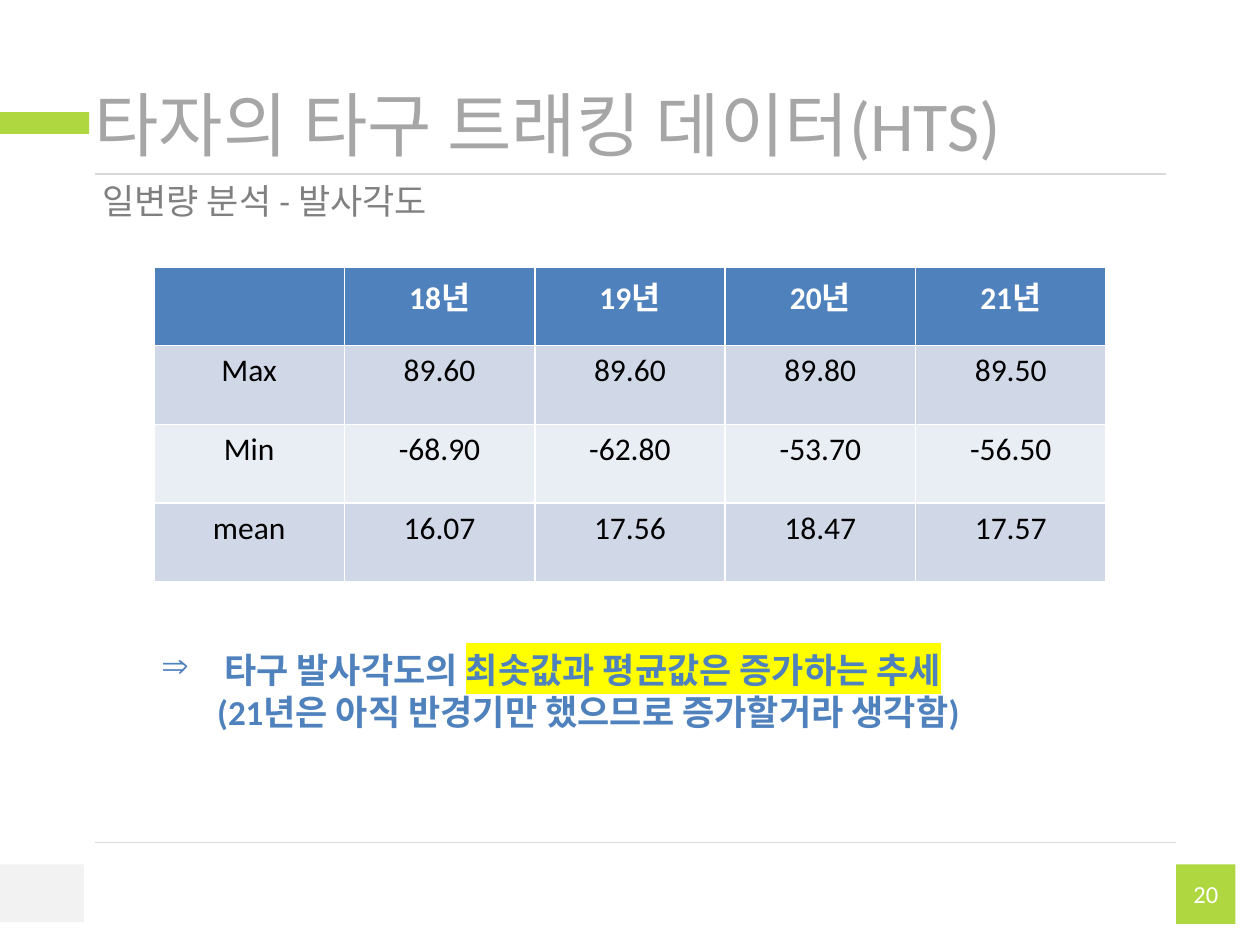
from dataclasses import dataclass

from lxml.etree import SubElement
from pptx import Presentation
from pptx.dml.color import RGBColor as RGB
from pptx.enum.shapes import MSO_CONNECTOR as CONNECTOR, MSO_SHAPE as SHAPE
from pptx.enum.text import MSO_ANCHOR as ANCHOR, MSO_AUTO_SIZE as FIT, PP_ALIGN as ALIGN
from pptx.oxml import parse_xml
from pptx.oxml.ns import nsdecls, qn
from pptx.util import Pt


@dataclass(frozen=True)
class Theme:
    font: str = "Calibri"
    green: str = "AFD740"
    pale: str = "F2F2F2"
    rule: str = "D9D9D9"
    title: str = "A6A6A6"
    subtitle: str = "808080"
    blue: str = "4F81BD"
    bands: tuple = ("D0D8E8", "E9EDF4")
    white: str = "FFFFFF"
    black: str = "000000"
    marker: str = "FFFF00"
    title_size: int = 40
    body_size: int = 20
    table_size: int = 18
    number_size: int = 14


THEME = Theme()

ROWS = [
    ["", "18년", "19년", "20년", "21년"],
    ["Max", "89.60", "89.60", "89.80", "89.50"],
    ["Min", "-68.90", "-62.80", "-53.70", "-56.50"],
    ["mean", "16.07", "17.56", "18.47", "17.57"],
]


def style(p, size, color, bold=False, align=ALIGN.LEFT):
    p.alignment = align
    f = p.font
    f.name, f.size, f.bold = THEME.font, Pt(size), bold
    f.color.rgb = RGB.from_string(color)


def set_bullet(p, char=None, left=0, hanging=0):
    pPr = p._p.get_or_add_pPr()
    pPr.set("marL", str(Pt(left)))
    pPr.set("indent", str(Pt(-hanging)))
    tag = f'buChar {nsdecls("a")} char="{char}"' if char else f'buNone {nsdecls("a")}'
    pPr.insert(0, parse_xml(f"<a:{tag}/>"))


def highlight(r, color):
    mark = SubElement(r._r.get_or_add_rPr(), qn("a:highlight"))
    SubElement(mark, qn("a:srgbClr"), val=color)


def add_block(s, box, color):
    sp = s.shapes.add_shape(SHAPE.RECTANGLE, *map(Pt, box))
    sp.shadow.inherit = False
    sp.fill.solid()
    sp.fill.fore_color.rgb = RGB.from_string(color)
    sp.line.fill.background()


def add_rule(s, left, right, y):
    line = s.shapes.add_connector(CONNECTOR.STRAIGHT, Pt(left), Pt(y), Pt(right), Pt(y))
    line.line.color.rgb = RGB.from_string(THEME.rule)
    line.line.width = Pt(0.75)
    SubElement(line._element.spPr, qn("a:effectLst"))


def fill_placeholder(sp, box, margins, text, size, color):
    sp.left, sp.top, sp.width, sp.height = map(Pt, box)
    tf = sp.text_frame
    tf.auto_size = FIT.NONE
    tf.vertical_anchor = ANCHOR.MIDDLE
    tf.margin_left, tf.margin_top, tf.margin_right, tf.margin_bottom = map(Pt, margins)
    p = tf.paragraphs[0]
    p.text = text
    style(p, size, color)
    set_bullet(p)


def add_number(s, box, text):
    tf = s.shapes.add_textbox(*map(Pt, box)).text_frame
    tf.word_wrap = False
    p = tf.paragraphs[0]
    p.text = text
    style(p, THEME.number_size, THEME.white, align=ALIGN.CENTER)


def add_stats_table(s, box, rows):
    table = s.shapes.add_table(len(rows), len(rows[0]), *map(Pt, box)).table
    for i, row in enumerate(rows):
        header = i == 0
        fill = THEME.blue if header else THEME.bands[(i - 1) % 2]
        color = THEME.white if header else THEME.black
        for j, text in enumerate(row):
            cell = table.cell(i, j)
            cell.fill.solid()
            cell.fill.fore_color.rgb = RGB.from_string(fill)
            p = cell.text_frame.paragraphs[0]
            p.text = text
            style(p, THEME.table_size, color, header, ALIGN.CENTER)


def add_takeaway(s, box):
    tf = s.shapes.add_textbox(*map(Pt, box)).text_frame
    tf.word_wrap = True
    tf.auto_size = FIT.SHAPE_TO_FIT_TEXT
    finding, note = tf.paragraphs[0], tf.add_paragraph()
    finding.add_run().text = "타구 발사각도의 "
    r = finding.add_run()
    r.text = "최솟값과 평균값은 증가하는 추세"
    highlight(r, THEME.marker)
    note.text = "(21년은 아직 반경기만 했으므로 증가할거라 생각함)"
    for p in (finding, note):
        style(p, THEME.body_size, THEME.blue, bold=True)
    set_bullet(finding, "⇒", left=36, hanging=36)
    set_bullet(note, left=32)


def main():
    prs = Presentation()
    prs.slide_width, prs.slide_height = Pt(720), Pt(540)
    s = prs.slides.add_slide(prs.slide_layouts[1])

    add_block(s, (672, 494, 34, 34), THEME.green)
    add_number(s, (673, 499, 32, 24.5), "20")
    add_block(s, (0, 494, 48, 33), THEME.pale)
    add_block(s, (0, 64, 51, 12.5), THEME.green)
    add_rule(s, 54, 612 + 54, 99.5)
    add_rule(s, 54, 672, 481.5)

    title, body = s.placeholders
    fill_placeholder(title, (54, 43, 612.5, 55), (0, 0, 7.2, 0),
                     "타자의 타구 트래킹 데이터(HTS)", THEME.title_size, THEME.title)
    fill_placeholder(body, (52.5, 106, 613.5, 17), (6, 3.6, 7.2, 3.6),
                     "일변량 분석 - 발사각도", THEME.body_size, THEME.subtitle)
    add_stats_table(s, (88, 152.5, 544, 180), ROWS)
    add_takeaway(s, (85, 367, 554, 55.5))

    prs.save("out.pptx")


if __name__ == "__main__":
    main()
